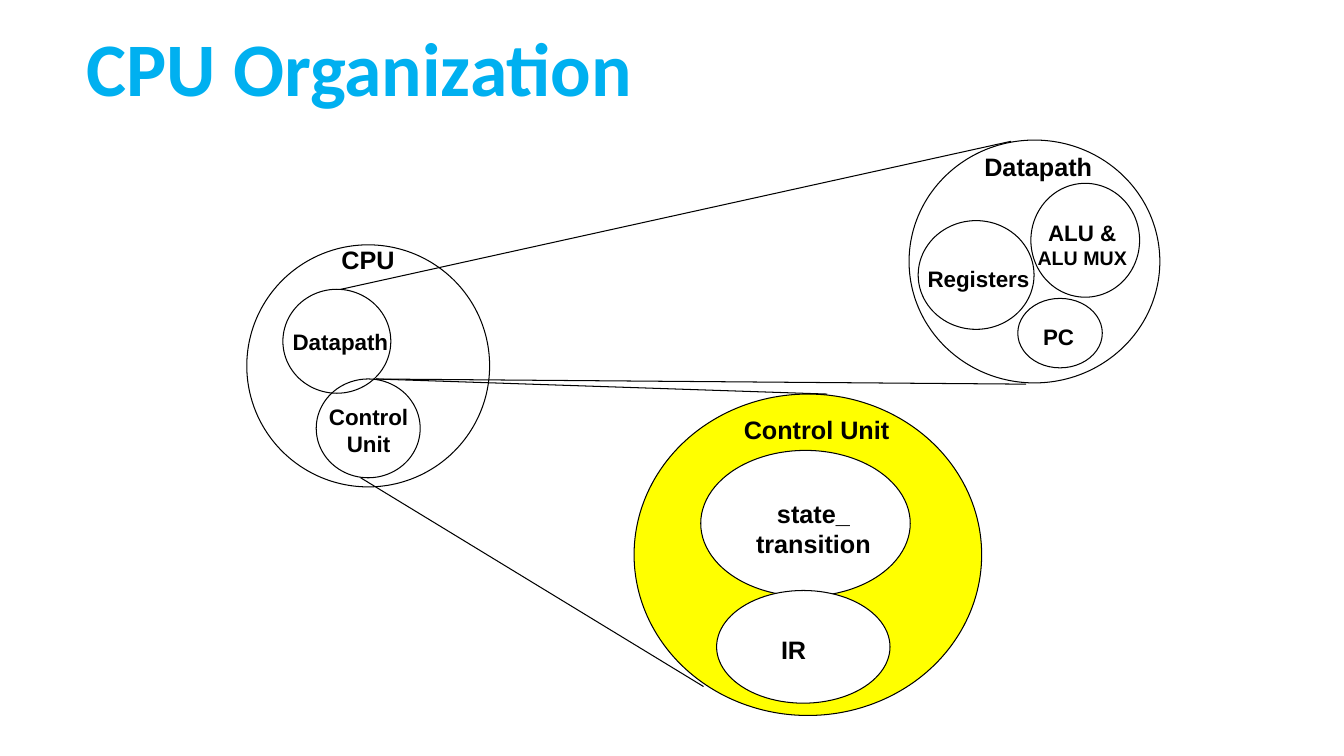
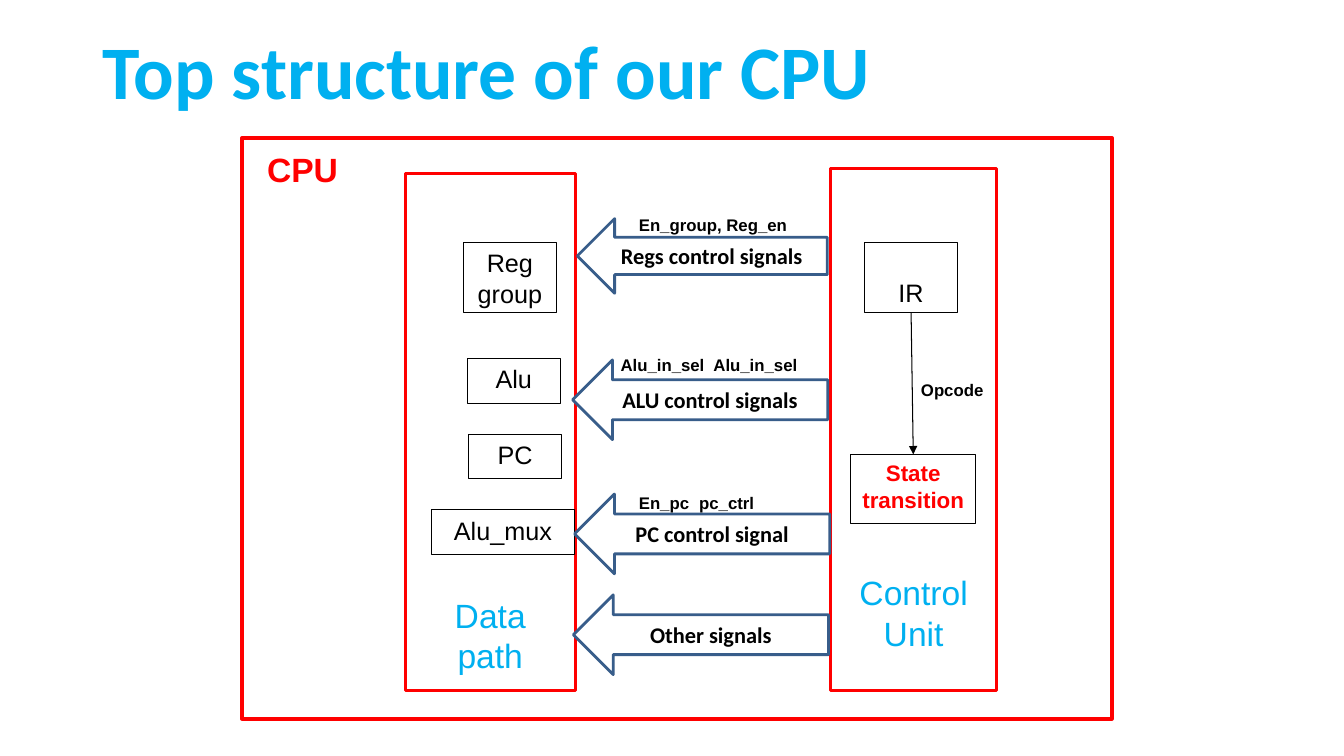
from lxml import etree
from pptx import Presentation, util as u
from pptx.dml.color import RGBColor
from pptx.enum import shapes as s, text as t
from pptx.oxml.ns import qn

BLACK, WHITE, RED = "000000", "FFFFFF", "FF0000"
SKY, YELLOW, NAVY = "00B0F0", "FFFF00", "385D8A"
KIND = s.MSO_SHAPE
LEFT, MID = t.PP_ALIGN.LEFT, t.PP_ALIGN.CENTER
TOP, CORE, BASE = t.MSO_ANCHOR.TOP, t.MSO_ANCHOR.MIDDLE, t.MSO_ANCHOR.BOTTOM
BOLD = {"name": "Arial", "bold": True}
PLAIN = {"name": "Arial", "bold": False}
HEAD = {"name": "Calibri", "bold": True}


def tone(code):
    return RGBColor.from_string(code)


def cms(vals):
    return [u.Cm(val) for val in vals]


def apply(item, vals):
    for key, val in vals.items():
        setattr(item, key, val)


def shift(box, part):
    return (box[0] + part[0], box[1] + part[1], *part[2:])


def write(shape, rows, font, color=BLACK, align=MID, frame=None, tab=None):
    body = shape.text_frame
    apply(body, {"word_wrap": True, "vertical_anchor": CORE, **(frame or {})})
    for i, (words, size) in enumerate(rows):
        para = body.add_paragraph() if i else body.paragraphs[0]
        if tab:
            tabs = etree.SubElement(para._p.get_or_add_pPr(), qn("a:tabLst"))
            etree.SubElement(tabs, qn("a:tab"), pos=str(u.Cm(tab)), algn="l")
        para.alignment = align
        run = para.add_run()
        run.text = words
        apply(run.font, {**font, "size": u.Pt(size)})
        run.font.color.rgb = tone(color)
    return body


def label(slide, box, rows, font=BOLD, **opts):
    return write(slide.shapes.add_textbox(*cms(box)), rows, font, **opts)


def draw(slide, kind, box, fill=None, line=BLACK, width=0.75):
    shape = slide.shapes.add_shape(kind, *cms(box))
    shape.shadow.inherit = False
    if fill:
        shape.fill.solid()
        shape.fill.fore_color.rgb = tone(fill)
    else:
        shape.fill.background()
    shape.line.color.rgb = tone(line)
    shape.line.width = u.Pt(width)
    return shape


def link(slide, ends=(0, 0, 0, 0)):
    wire = slide.shapes.add_connector(s.MSO_CONNECTOR.STRAIGHT, *cms(ends))
    wire.line.color.rgb = tone(BLACK)
    wire.line.width = u.Pt(0.75)
    etree.SubElement(wire._element.spPr, qn("a:effectLst"))
    return wire


def title(slide, x, y, words):
    body = label(slide, (x, y, 29.21, 3.68), [(words, 54)], HEAD,
                 color=SKY, align=LEFT)
    body.paragraphs[0].line_spacing = 0.9


def disc(slide, box, ovals, names, fill=None, inner=WHITE):
    draw(slide, KIND.OVAL, box, fill)
    for part in ovals:
        draw(slide, KIND.OVAL, shift(box, part), inner)
    for part, rows in names:
        label(slide, shift(box, part), rows, frame={"word_wrap": False})


def cpu(slide, box):
    disc(slide, box,
         [(1.75, 3.38, 2.62, 2.49), (0.91, 1.12, 2.72, 2.62)],
         [((2.13, -0.13, 1.85, 0.99), [("CPU", 18)]),
          ((0.86, 1.96, 3, 0.94), [("Datapath", 16)]),
          ((1.65, 3.86, 2.84, 1.63), [("Control", 16), ("Unit", 16)])],
         inner=None)


def data(slide, box):
    disc(slide, box,
         [(0.23, 2.03, 2.92, 2.74), (3.07, 1.09, 2.74, 2.87),
          (2.74, 3.99, 2.13, 1.75)],
         [((1.63, 0.15, 3.25, 1.04), [("Datapath", 18)]),
          ((0.2, 3.02, 3.1, 0.94), [("Registers", 16)]),
          ((2.74, 1.85, 3.25, 1.55), [("ALU &", 16), ("ALU MUX", 14)]),
          ((3.12, 4.47, 1.3, 0.94), [("PC", 16)])])


def control(slide, box):
    disc(slide, box,
         [(1.68, 1.42, 5.28, 3.68), (2.08, 4.95, 4.37, 2.84)],
         [((2.49, 0.36, 4.22, 1.04), [("Control Unit", 18)]),
          ((2.21, 2.54, 4.62, 1.71), [("state_", 18), ("transition", 18)]),
          ((3.45, 5.94, 1.14, 0.98), [("IR", 18)])],
         fill=YELLOW)


def rays(slide):
    for ends in [(8.59, 7.29, 25.48, 3.56), (9.47, 9.55, 25.86, 9.68),
                 (9.47, 9.55, 20.85, 9.93), (9.09, 12.04, 17.73, 17.3)]:
        link(slide, ends)


def panel(slide, box, words, gap):
    write(draw(slide, KIND.RECTANGLE, box, line=RED, width=2),
          [(word, 24) for word in words], PLAIN, SKY,
          frame={"vertical_anchor": BASE, "margin_bottom": u.Cm(gap)})


def block(slide, box, rows, font=PLAIN, color=BLACK, **frame):
    shape = draw(slide, KIND.RECTANGLE, box, WHITE)
    write(shape, rows, font, color, frame={"vertical_anchor": TOP, **frame})
    return shape


def paths(slide, box):
    panel(slide, box, ["Data", "path"], 0.38)
    block(slide, shift(box, (1.47, 1.75, 2.34, 1.75)), [("Reg group", 18)])
    for i, (name, x, wide) in enumerate(
            [("Alu", 1.57, 2.34), ("PC", 1.6, 2.34), ("Alu_mux", 0.66, 3.61)]):
        part = (x, 4.67 + 1.905 * i, wide, 1.12)
        block(slide, shift(box, part), [(name, 18)])


def unit(slide, box):
    panel(slide, box, ["Control", "Unit"], 0.95)
    ir = block(slide, shift(box, (0.86, 1.88, 2.34, 1.75)), [("IR", 18)],
               vertical_anchor=BASE)
    state = block(slide, shift(box, (0.51, 7.21, 3.15, 1.75)),
                  [("State", 16), ("transition", 16)], BOLD, RED,
                  word_wrap=False)
    wire = link(slide)
    wire.begin_connect(ir, 2)
    wire.end_connect(state, 0)
    etree.SubElement(wire.line._get_or_add_ln(), qn("a:tailEnd"),
                     type="triangle")
    label(slide, shift(box, (2.03, 5.21, 2.31, 0.76)), [("Opcode", 12)],
          align=LEFT)


def buses(slide, box):
    for part, name in [((0.12, 0.23, 6.3, 1.88), "Regs control signals"),
                       ((0, 3.79, 6.43, 2.01), "ALU control signals"),
                       ((0.05, 7.17, 6.43, 2.01), "PC control signal"),
                       ((0.02, 9.71, 6.43, 2.01), "Other signals")]:
        arrow = draw(slide, KIND.LEFT_ARROW, shift(box, part), WHITE, NAVY, 2)
        write(arrow, [(name, 16)], HEAD)
    for x, y, name, tab in [(1.42, 0, "En_group, Reg_en", None),
                            (0.96, 3.53, "Alu_in_sel\tAlu_in_sel", 2.34),
                            (1.42, 7.01, "En_pc\tpc_ctrl", 1.52)]:
        label(slide, shift(box, (x, y, 5, 0.76)), [(name, 12)],
              align=LEFT, tab=tab)


def frame(slide, box):
    draw(slide, KIND.RECTANGLE, box, line=RED, width=3)
    label(slide, shift(box, (0.38, 0.15, 2.44, 1.27)), [("CPU", 24)],
          color=RED, align=LEFT)


def parts(slide):
    title(slide, 1.93, -0.03, "CPU Organization")
    cpu(slide, (6.22, 6.17, 6.12, 6.1))
    control(slide, (15.98, 9.93, 8.76, 8.1))
    data(slide, (22.91, 3.53, 6.32, 6.12))
    rays(slide)


def scheme(slide):
    title(slide, 2.34, 0.05, "Top structure of our CPU")
    frame(slide, (6.1, 3.48, 21.92, 14.63))
    paths(slide, (10.21, 4.37, 4.29, 13.03))
    unit(slide, (20.93, 4.24, 4.19, 13.16))
    buses(slide, (14.43, 5.28))


def main():
    deck = Presentation()
    apply(deck, {"slide_width": u.Cm(33.87), "slide_height": u.Cm(19.05)})
    for build in (parts, scheme):
        build(deck.slides.add_slide(deck.slide_layouts[6]))
    deck.save("out.pptx")


if __name__ == "__main__":
    main()
